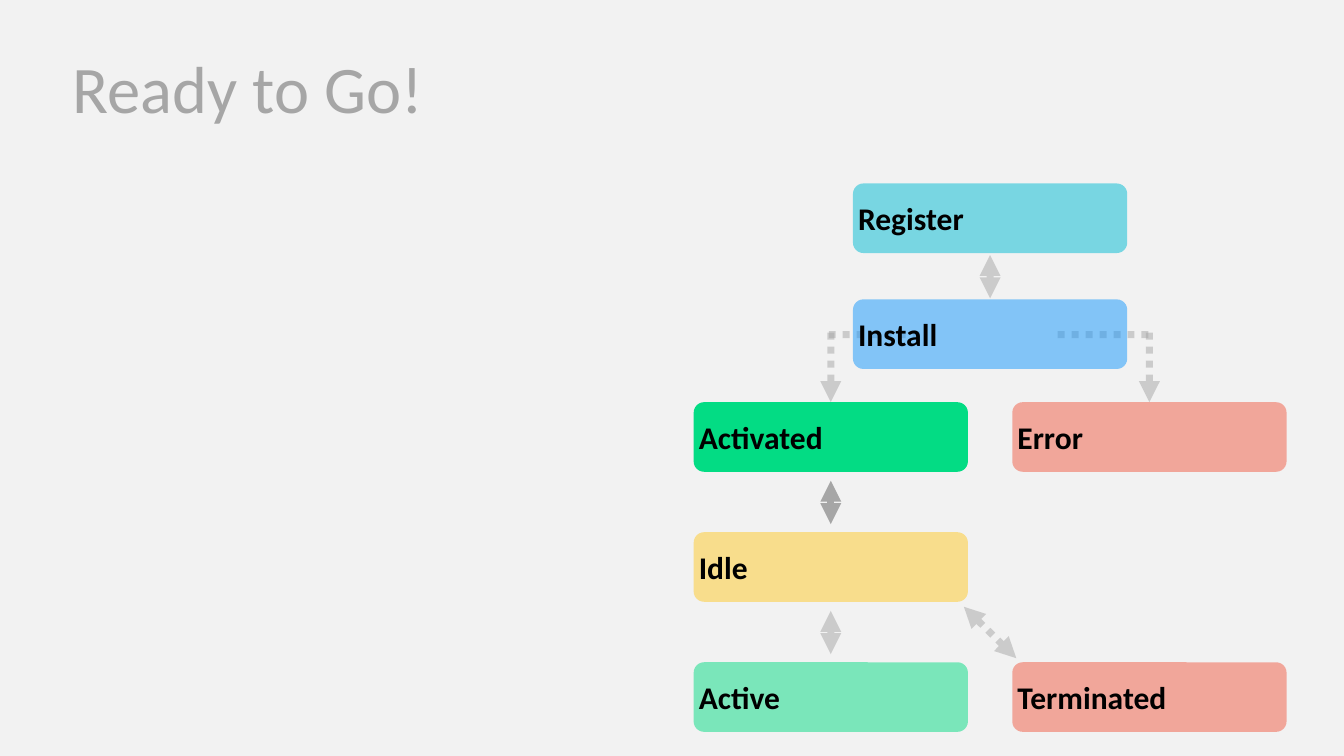
from lxml.etree import SubElement
from pptx import Presentation
from pptx.dml.color import RGBColor
from pptx.enum.shapes import MSO_CONNECTOR as Link, MSO_SHAPE as Preset
from pptx.enum.text import MSO_ANCHOR as Anchor, PP_ALIGN as Align
from pptx.oxml.ns import qn
from pptx.util import Inches, Pt

BOX_W, BOX_H = 2.72, 0.69
LEFT, MIDDLE, RIGHT = 6.88, 8.46, 10.04


def rgb(value):
    return RGBColor.from_string(value)


class StateSlide:
    font, gray, background = "Calibri", "A6A6A6", "F2F2F2"

    def __init__(self, prs):
        self.slide = prs.slides.add_slide(prs.slide_layouts[6])
        fill = self.slide.background.fill
        fill.solid()
        fill.fore_color.rgb = rgb(self.background)

    def label(self, shape, words, size, color, inset, anchor, bold=False):
        frame = shape.text_frame
        layout = {"word_wrap": True, "vertical_anchor": anchor}
        sides = ("left", "top", "right", "bottom")
        layout.update({f"margin_{side}": Inches(inset) for side in sides})
        for name, value in layout.items():
            setattr(frame, name, value)
        paragraph = frame.paragraphs[0]
        paragraph.alignment = Align.LEFT
        run = paragraph.add_run()
        run.text = words
        style = {"name": self.font, "size": Pt(size), "bold": bold}
        for name, value in style.items():
            setattr(run.font, name, value)
        run.font.color.rgb = rgb(color)
        return paragraph

    def fade(self, shape):
        color = shape._element.spPr.find(".//" + qn("a:srgbClr"))
        SubElement(color, qn("a:alpha"), val="50000")

    def title(self, words):
        heading = self.slide.shapes.add_textbox(
            Inches(0.69), Inches(0.53), Inches(11.53), Inches(0.96))
        paragraph = self.label(heading, words, 47.5, self.gray, 0.03, Anchor.TOP)
        paragraph.line_spacing = 0.9

    def state(self, words, left, top, color, faded=True):
        box = self.slide.shapes.add_shape(
            Preset.ROUNDED_RECTANGLE,
            Inches(left), Inches(top), Inches(BOX_W), Inches(BOX_H))
        box.adjustments[0] = 0.15
        box.shadow.inherit = False
        box.fill.solid()
        box.fill.fore_color.rgb = rgb(color)
        box.line.fill.background()
        if faded:
            self.fade(box)
        self.label(box, words, 22.5, "000000", 0.02, Anchor.MIDDLE, bold=True)
        return box

    def link(self, start, end, heads=("headEnd", "tailEnd"), faded=True):
        link = self.slide.shapes.add_connector(
            Link.STRAIGHT, *(Inches(value) for value in (*start, *end)))
        link.line.width = Pt(5)
        link.line.color.rgb = rgb(self.gray)
        if faded:
            self.fade(link)
        properties = link._element.spPr
        outline = properties.find(qn("a:ln"))
        SubElement(outline, qn("a:prstDash"), val="sysDot")
        for head in heads:
            SubElement(outline, qn(f"a:{head}"), type="triangle")
        SubElement(properties, qn("a:effectLst"))
        return link


def main():
    prs = Presentation()
    prs.slide_width, prs.slide_height = Inches(13.33), Inches(7.5)
    page = StateSlide(prs)
    page.title("Ready to Go!")

    # Lower states
    page.link((9.56, 6.02), (10.08, 6.53))
    activated = page.state("Activated", LEFT, 3.99, "03DC84", faded=False)
    error = page.state("Error", RIGHT, 3.99, "F15B44")
    page.state("Idle", LEFT, 5.28, "FFCA28")
    page.state("Active", LEFT, 6.57, "03DC84")
    page.state("Terminated", RIGHT, 6.57, "F15B44")

    # Branches from Install, behind its box
    for outcome, column, bar_left in ((activated, LEFT, 8.22), (error, RIGHT, 10.49)):
        center = column + BOX_W / 2
        page.link((bar_left, 3.32), (bar_left + 0.92, 3.32), heads=())
        drop = page.link((center, 3.3), (center, 3.99), heads=("tailEnd",))
        drop.end_connect(outcome, 0)

    # Upper states
    page.state("Install", MIDDLE, 2.97, "1497FC")
    page.state("Register", MIDDLE, 1.82, "00BCD4")

    # Two-way steps in the gaps between states
    for column, top, faded in ((LEFT, 4.77, False), (LEFT, 6.06, True), (MIDDLE, 2.53, True)):
        center = column + BOX_W / 2
        page.link((center, top), (center, top + 0.43), faded=faded)

    prs.save("out.pptx")


if __name__ == "__main__":
    main()
